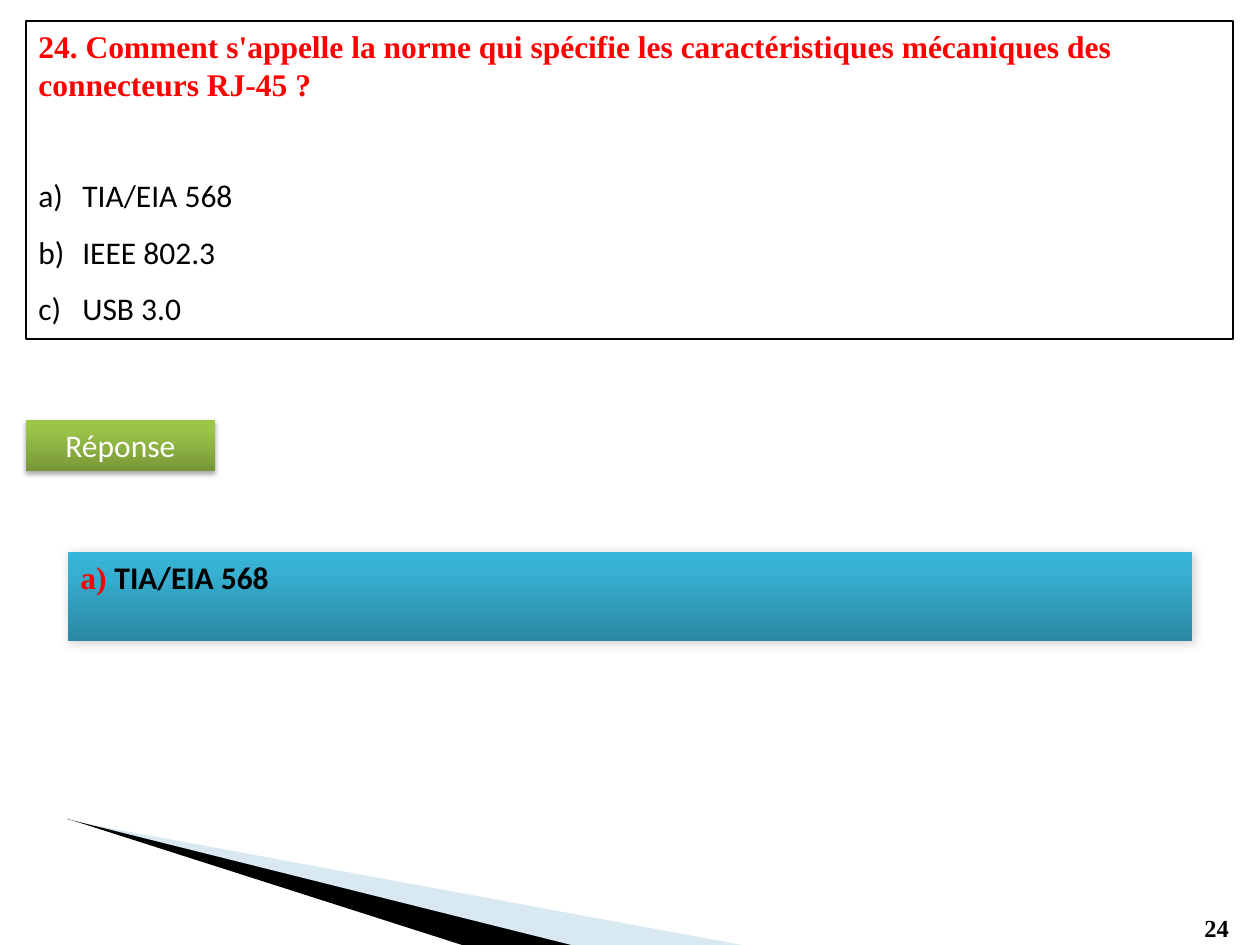
from copy import deepcopy
from lxml import etree
from pptx import Presentation
from pptx.dml.color import RGBColor
from pptx.enum.shapes import MSO_SHAPE
from pptx.enum.text import MSO_ANCHOR, PP_ALIGN
from pptx.oxml.ns import qn
from pptx.util import Pt

RECT = MSO_SHAPE.RECTANGLE
TOP = MSO_ANCHOR.TOP
LEFT, MID, JUST = PP_ALIGN.LEFT, PP_ALIGN.CENTER, PP_ALIGN.JUSTIFY
PX = 914400 / 126
SERIF, SANS = "Times New Roman", "Calibri"
HUE = {"black": "000000", "white": "FFFFFF", "red": "FF0000", "pale": "9FCADC"}


def rgb(name):
    return RGBColor.from_string(HUE.get(name, name))


def write(para, text, font=SANS, size=18, hue="black", bold=False, align=LEFT):
    para.alignment = align
    run = para.add_run()
    run.text = text
    run.font.name, run.font.size, run.font.bold = font, Pt(size), bold
    run.font.color.rgb = rgb(hue)


deck = Presentation()
deck.slide_width, deck.slide_height = round(1260 * PX), round(945 * PX)
slide = deck.slides.add_slide(deck.slide_layouts[6])
shapes = slide.shapes

# Corner wedges
wedges = [
    ("pale", 40, [(69, 819), (69, 820), (81, 823), (568, 945), (742, 945), (81, 823)]),
    ("black", 100, [(67, 819), (68, 819), (462, 945), (571, 945)]),
]
for hue, alpha, pts in wedges:
    pen = shapes.build_freeform(*pts[0], scale=PX)
    pen.add_line_segments(pts[1:], close=True)
    wedge = pen.convert_to_shape()
    wedge.shadow.inherit = False
    wedge.fill.solid()
    wedge.fill.fore_color.rgb = rgb(hue)
    wedge.line.fill.background()
    tint = wedge._element.spPr.find(".//" + qn("a:srgbClr"))
    etree.SubElement(tint, qn("a:alpha"), val=str(alpha * 1000))

# Page number
page = shapes.add_textbox(*[round(v * PX) for v in (1192, 907, 67, 43)])
page.text_frame.word_wrap = True
write(page.text_frame.paragraphs[0], "24", font=SERIF, size=14, bold=True)

# Question with its lettered choices
quiz = shapes.add_shape(RECT, *[round(v * PX) for v in (26, 21, 1207, 318)])
quiz.shadow.inherit = False
quiz.fill.background()
quiz.line.color.rgb = rgb("black")
quiz.line.width = Pt(0.75)
frame = quiz.text_frame
frame.word_wrap, frame.vertical_anchor = True, TOP
write(frame.paragraphs[0],
      "24. Comment s'appelle la norme qui spécifie les caractéristiques "
      "mécaniques des connecteurs RJ-45 ?", font=SERIF, hue="red", bold=True)
for i, choice in enumerate(["TIA/EIA 568", "IEEE 802.3", "USB 3.0"]):
    para = frame.add_paragraph()
    props = para._p.get_or_add_pPr()
    props.set("marL", str(round(44 * PX)))
    props.set("indent", str(round(-47 * PX)))
    etree.SubElement(props, qn("a:buFont"), typeface="+mj-lt")
    etree.SubElement(props, qn("a:buAutoNum"), type="alphaLcParenR")
    para.line_spacing = 1.5
    para.space_before = Pt(0 if i else 31)
    write(para, choice)

# Answer label and answer bar: place, gradient, shadow, text
bars = [
    ((26, 420, 189, 51), ["779737", "9BC348", "9DC746"], (35, 3.1, 1.8, 90),
     MID, [("Réponse", {"hue": "white"})]),
    ((68, 552, 1124, 89), ["2A88A2", "37B1D2", "34B4D6"], (20, 6, 1, 45),
     JUST, [("a) ", {"font": SERIF, "hue": "red", "bold": True}),
            ("TIA/EIA 568", {"bold": True})]),
]
for place, hues, (alpha, blur, dist, turn), align, runs in bars:
    bar = shapes.add_shape(RECT, *[round(v * PX) for v in place])
    bar.line.fill.background()
    bar.fill.gradient()
    bar.fill.gradient_angle = 90
    stops = bar._element.spPr.find(".//" + qn("a:gsLst"))
    stops.append(deepcopy(stops[-1]))
    for stop, spot, hue in zip(bar.fill.gradient_stops, (0, 0.8, 1), hues):
        stop.position = spot
        stop.color.rgb = rgb(hue)
    bar.shadow.inherit = False
    glow = etree.SubElement(
        bar._element.spPr.find(qn("a:effectLst")), qn("a:outerShdw"),
        blurRad=str(Pt(blur)), dist=str(Pt(dist)), dir=str(turn * 60000),
        rotWithShape="0")
    tint = etree.SubElement(glow, qn("a:srgbClr"), val=HUE["black"])
    etree.SubElement(tint, qn("a:alpha"), val=str(alpha * 1000))
    frame = bar.text_frame
    frame.word_wrap, frame.vertical_anchor = True, TOP
    for text, look in runs:
        write(frame.paragraphs[0], text, align=align, **look)

deck.save("out.pptx")
